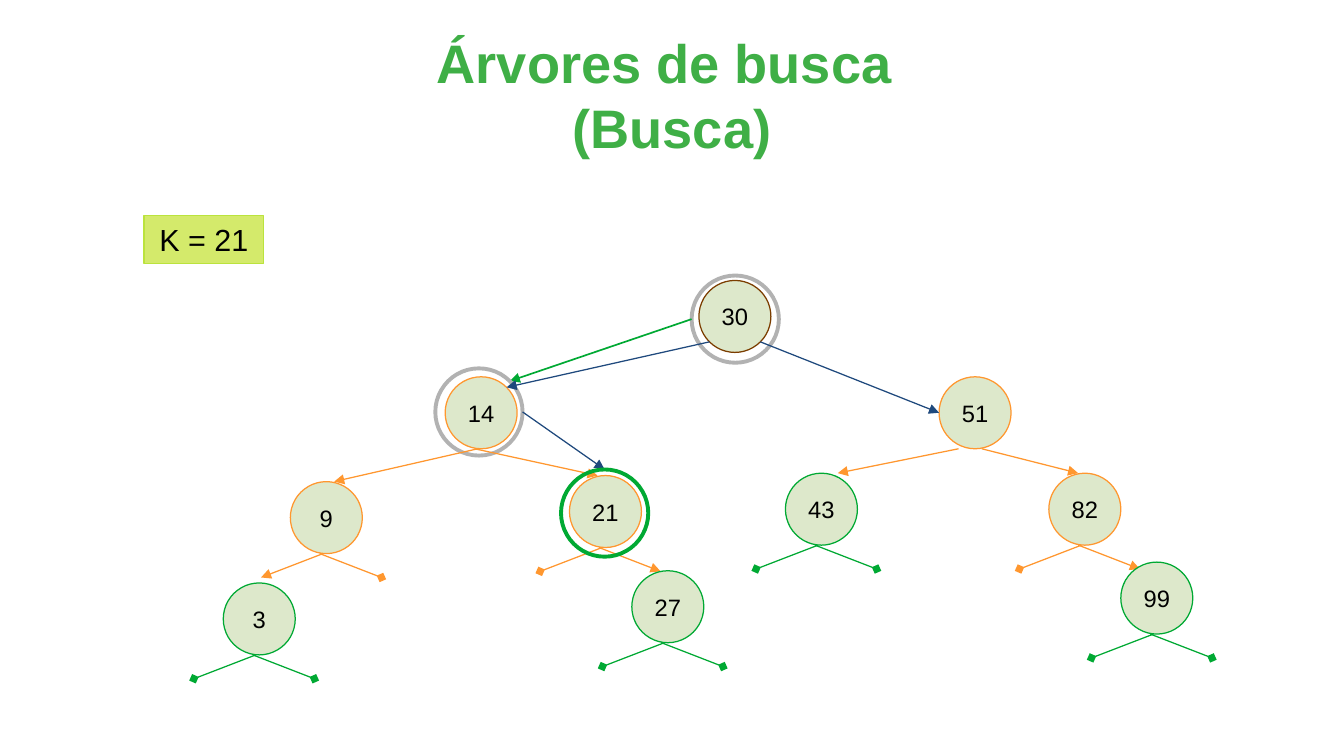
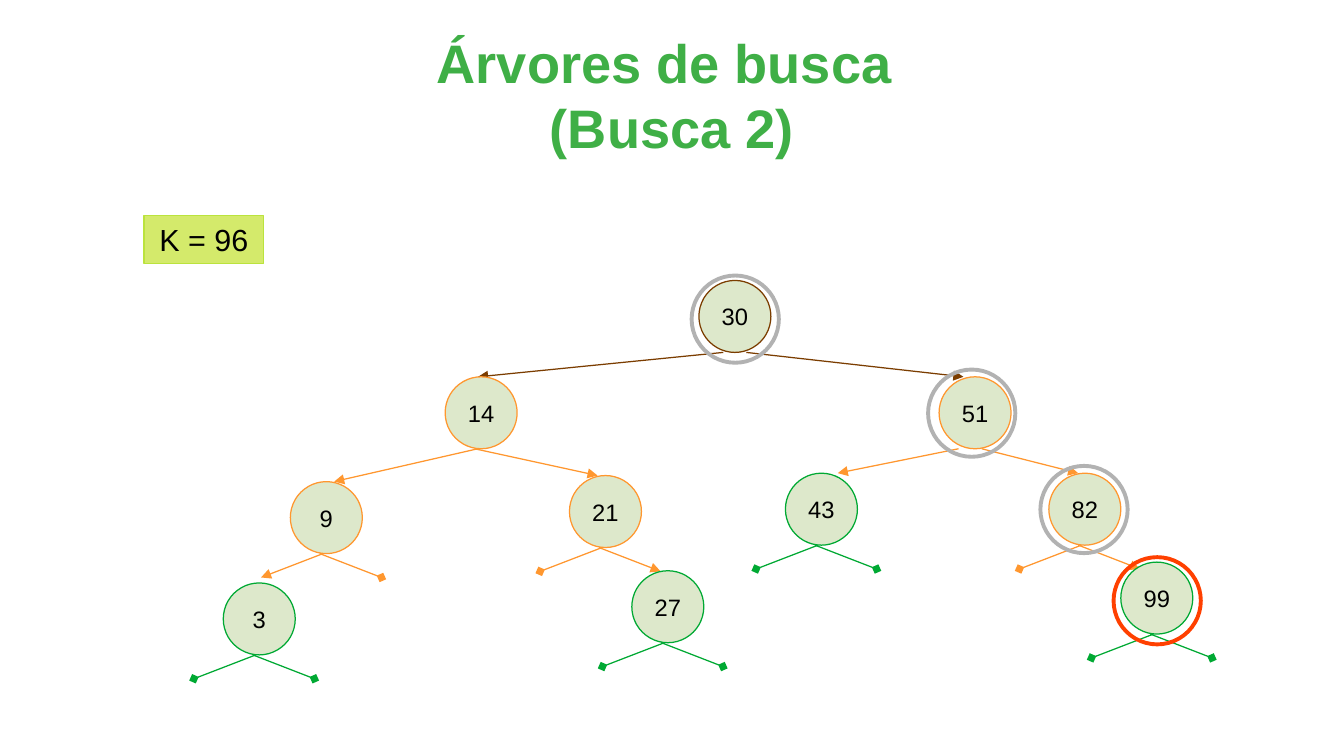
from math import cos, radians, sin
from typing import NamedTuple, Optional

from lxml.etree import SubElement
from pptx import Presentation
from pptx.dml.color import RGBColor
from pptx.enum.shapes import MSO_CONNECTOR, MSO_SHAPE
from pptx.enum.text import MSO_ANCHOR, PP_ALIGN
from pptx.oxml.ns import qn
from pptx.util import Pt

# Shared look
FONT = "Arial"
TITLE_GREEN = RGBColor(0x3F, 0xAF, 0x46)
BLACK = RGBColor(0x00, 0x00, 0x00)
LIME = RGBColor(0xD4, 0xEA, 0x6B)
LIME_EDGE = RGBColor(0xBB, 0xE3, 0x3D)
NODE_FILL = RGBColor(0xDD, 0xE8, 0xCB)
BROWN = RGBColor(0x7B, 0x3D, 0x00)
ORANGE = RGBColor(0xFF, 0x97, 0x2F)
GREEN = RGBColor(0x00, 0xA9, 0x33)
BLUE = RGBColor(0x1F, 0x49, 0x7D)
GRAY = RGBColor(0xB2, 0xB2, 0xB2)
RED = RGBColor(0xFF, 0x40, 0x00)

THIN, THICK = 0.75, 2.3


class Box(NamedTuple):
    left: float
    top: float
    width: float
    height: float

    def rim(self, angle):
        """Point on the inscribed ellipse, clockwise from the right."""
        return (self.left + self.width / 2 * (1 + cos(radians(angle))),
                self.top + self.height / 2 * (1 + sin(radians(angle))))


class Node(NamedTuple):
    left: float
    top: float
    colour: RGBColor
    children: tuple = (None, None)
    landing: Optional[float] = None  # where a long branch meets the node's top
    starts: tuple = (19.3, 17.4)     # where the branches leave the node's bottom
    ring: tuple = (4.3, 2.9)         # how far a ring reaches left and above


TITLE_BOX = Box(39.6, 18, 714.2, 74.9)
KEY_BOX = Box(85, 127.4, 70.6, 28.1)
TREE_BOX = Box(114, 162, 604, 240)

NODE_SIZE, RING_SIZE = 42.5, 51.5
BRANCH_ENDS, BRANCH_DROP = (-17.3, 53.8), 14.1  # short branches

NODES = {
    30: Node(298.6, 3.6, BROWN, (14, 51), starts=(14.4, 28)),
    51: Node(440.4, 60.5, ORANGE, (43, 82), 14.4, (11.5, 25.2), (6.5, 4.3)),
    14: Node(148.8, 60.5, ORANGE, (9, 21), 19.4, ring=(5.8, 5)),
    43: Node(349.7, 117.4, GREEN, landing=30.9),
    82: Node(505.2, 117.4, ORANGE, (None, 99), 17.3, ring=(5, 4.3)),
    21: Node(222.2, 118.8, ORANGE, (None, 27), 16.6, ring=(5, 3.6)),
    9: Node(57.4, 122.4, ORANGE, (3, None), 25.9),
    3: Node(17.8, 182.2, GREEN),
    27: Node(259, 175, GREEN),
    99: Node(547.7, 169.9, GREEN),
}


def write_text(shape, text, size, colour=BLACK, bold=False, wrap=False):
    frame = shape.text_frame
    frame.word_wrap = wrap
    frame.vertical_anchor = MSO_ANCHOR.MIDDLE
    frame.margin_left = frame.margin_right = Pt(0)
    frame.margin_top = frame.margin_bottom = Pt(0)
    para = frame.paragraphs[0]
    para.alignment = PP_ALIGN.CENTER
    for index, line in enumerate(text.split("\n")):
        if index:
            para.add_line_break()
        span = para.add_run()
        span.text = line
        span.font.name = FONT
        span.font.size = Pt(size)
        span.font.bold = bold
        span.font.color.rgb = colour


def add_figure(page, preset, box, edge, weight=THIN, fill=None):
    shape = page.shapes.add_shape(preset, *map(Pt, box))
    shape.shadow.inherit = False
    if fill is None:
        shape.fill.background()
    else:
        shape.fill.solid()
        shape.fill.fore_color.rgb = fill
    shape.line.color.rgb = edge
    shape.line.width = Pt(weight)
    return shape


def add_arrow(page, start, end, colour, tip="triangle", weight=THIN):
    arrow = page.shapes.add_connector(
        MSO_CONNECTOR.STRAIGHT, *map(Pt, start + end))
    arrow.line.color.rgb = colour
    arrow.line.width = Pt(weight)
    properties = arrow.element.spPr
    SubElement(properties.find(qn("a:ln")), qn("a:tailEnd"), type=tip)
    SubElement(properties, qn("a:effectLst"))


# Places of nodes and rings inside the tree's box
def node_box(area, value):
    node = NODES[value]
    return Box(area.left + node.left, area.top + node.top, NODE_SIZE, NODE_SIZE)


def ring_box(area, value):
    box, (left, top) = node_box(area, value), NODES[value].ring
    return Box(box.left - left, box.top - top, RING_SIZE, RING_SIZE)


def add_ring(page, area, value, colour=GRAY):
    add_figure(page, MSO_SHAPE.OVAL, ring_box(area, value), colour, THICK)


def add_branches(page, area, value):
    node, box = NODES[value], node_box(area, value)
    bottom = box.top + box.height
    for child, start, short_end in zip(node.children, node.starts, BRANCH_ENDS):
        end = (box.left + short_end, bottom + BRANCH_DROP)
        if child and NODES[child].landing:
            target = node_box(area, child)
            end = (target.left + NODES[child].landing, target.top)
        add_arrow(page, (box.left + start, bottom), end, node.colour,
                  "triangle" if child else "diamond")


def add_tree(page, area, root_branches=True):
    for value, node in NODES.items():
        circle = add_figure(page, MSO_SHAPE.OVAL, node_box(area, value),
                            node.colour, fill=NODE_FILL)
        write_text(circle, str(value), 14)
        if value != 30 or root_branches:
            add_branches(page, area, value)


def add_heading(page, box, subtitle):
    title = page.shapes.add_textbox(*map(Pt, box))
    write_text(title, f"Árvores de busca \n({subtitle})", 32,
               colour=TITLE_GREEN, bold=True, wrap=True)


def add_key(page, box, key):
    label = add_figure(page, MSO_SHAPE.RECTANGLE, box, LIME_EDGE, fill=LIME)
    write_text(label, f"K = {key}", 18)


def add_page(deck, subtitle, key):
    page = deck.slides.add_slide(deck.slide_layouts[6])
    add_heading(page, TITLE_BOX, subtitle)
    add_key(page, KEY_BOX, key)
    return page


def add_found_search(page, area):
    """The path 30, 14, 21 ends at the key."""
    add_ring(page, area, 30)
    add_arrow(page, ring_box(area, 30).rim(180), ring_box(area, 14).rim(-45),
              GREEN, weight=1)
    add_ring(page, area, 14)
    add_tree(page, area, root_branches=False)
    root = node_box(area, 30)
    for start, end in (
        (root.rim(135), node_box(area, 14).rim(-45)),
        (root.rim(45), node_box(area, 51).rim(180)),
        (ring_box(area, 14).rim(0), ring_box(area, 21).rim(-90)),
    ):
        add_arrow(page, start, end, BLUE)
    add_ring(page, area, 21, GREEN)


def add_failed_search(page, area):
    """The path 30, 51, 82, 99 ends without the key."""
    add_tree(page, area)
    for value in (30, 51, 82):
        add_ring(page, area, value)
    add_ring(page, area, 99, RED)


def main():
    deck = Presentation()
    deck.slide_width, deck.slide_height = Pt(793.44), Pt(446.4)
    add_found_search(add_page(deck, "Busca", 21), TREE_BOX)
    add_failed_search(add_page(deck, "Busca 2", 96), TREE_BOX)
    deck.save("out.pptx")


if __name__ == "__main__":
    main()
